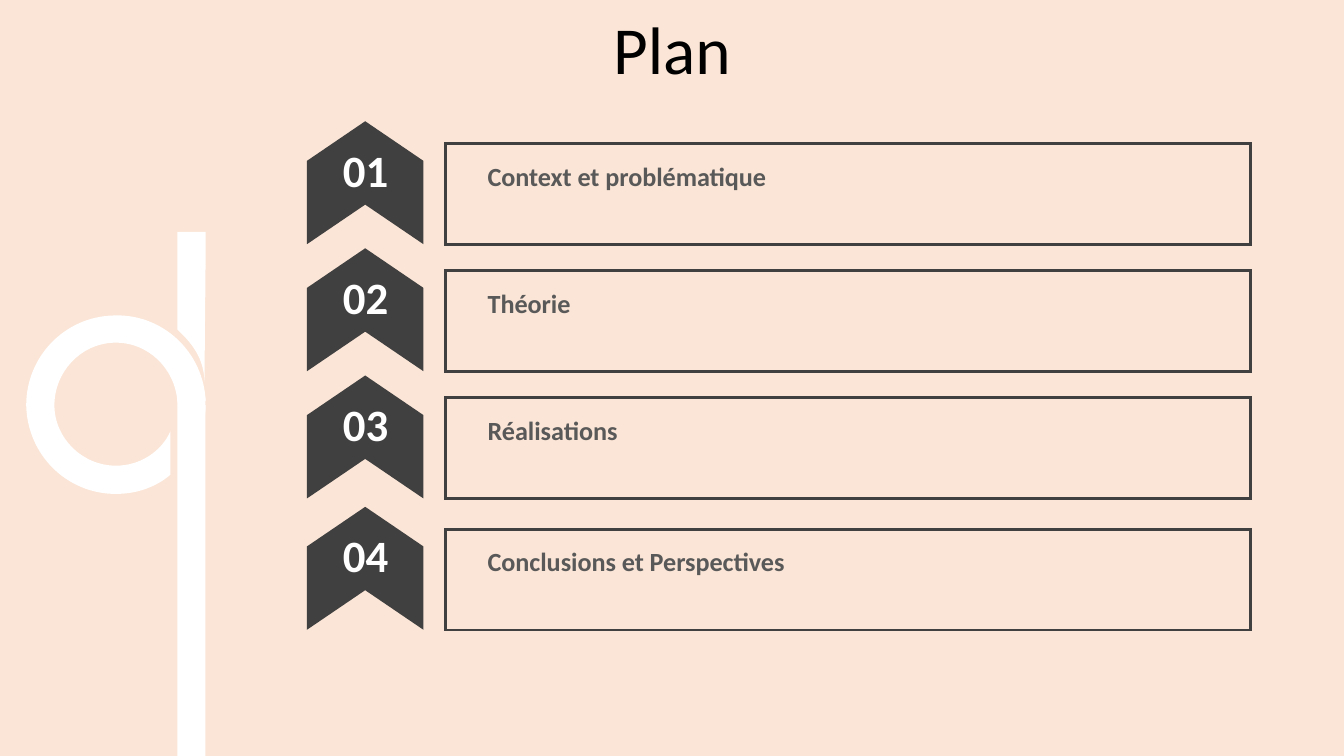
from lxml import etree
from pptx import Presentation, util as u
from pptx.dml.color import RGBColor
from pptx.enum import shapes, text
from pptx.oxml import ns

PEACH = RGBColor(0xFB, 0xE5, 0xD6)
WHITE = RGBColor(0xFF, 0xFF, 0xFF)
BLACK = RGBColor(0, 0, 0)
DARK = RGBColor(0x40, 0x40, 0x40)
GREY = RGBColor(0x59, 0x59, 0x59)

WIDE, HIGH = u.Inches(13.33), u.Inches(7.5)
UNIT = HIGH / 750
KIND = shapes.MSO_SHAPE
HEAD = {"size": u.Pt(48), "name": "Calibri", "bold": False}
MARK = {"size": u.Pt(32), "name": "Calibri", "bold": True}
ITEM = {"size": u.Pt(18.67), "name": "Calibri", "bold": True}
TOPS = (19, 35.8, 52.63, 70)
TOPICS = ("Context et problématique", "Théorie", "Réalisations",
          "Conclusions et Perspectives")
NOTCH = [[(197, 402)], [(204, 402)], [(204, 414), (201, 424), (197, 434)]]
RING = [
    [(113, 313)],
    [(161, 311), (202, 349), (204, 398)],
    [(176, 399)],
    [(174, 366), (147, 339), (113, 340)],
    [(80, 341), (54, 369), (54, 402)],
    [(54, 435), (82, 462), (115, 462)],
    [(139, 462), (160, 448), (169, 428)],
    [(169, 471)],
    [(155, 483), (136, 490), (115, 490)],
    [(66, 490), (27, 451), (26, 402)],
    [(26, 354), (64, 314), (113, 313)],
]
TIP = [
    [(176, 230)],
    [(204, 230)],
    [(204, 280), (203, 330), (203, 379)],
    [(202, 356), (192, 342), (176, 327)],
]


def area(left, top, width, height):
    """Turn percentages of the slide into lengths."""
    return [u.Emu(round(part * side / 100)) for part, side in
            zip((left, top, width, height), (WIDE, HIGH, WIDE, HIGH))]


def paint(shape, fill=None, line=None):
    """Set the fill and outline of a shape."""
    shape.shadow.inherit = False
    if fill is None:
        shape.fill.background()
    else:
        shape.fill.solid()
        shape.fill.fore_color.rgb = fill
    if line is None:
        shape.line.fill.background()
    else:
        shape.line.color.rgb = line
        shape.line.width = u.Pt(2)
        edge = shape.element.xpath(".//a:ln")[0]
        etree.SubElement(edge, ns.qn("a:miter"), lim="800000")


def block(slide, kind, place, fill=None, line=None):
    """Add a preset shape."""
    shape = slide.shapes.add_shape(kind, *area(*place))
    paint(shape, fill, line)
    return shape


def write(shape, words, look, color, align, anchor):
    """Put formatted words in a shape."""
    frame = shape.text_frame
    for key, value in {"word_wrap": True, "vertical_anchor": anchor,
                       "auto_size": text.MSO_AUTO_SIZE.NONE}.items():
        setattr(frame, key, value)
    line = frame.paragraphs[0]
    line.text = words
    line.alignment = align
    for key, value in look.items():
        setattr(line.font, key, value)
    line.font.color.rgb = color


def bend(knots):
    """Merge three line steps into one curve."""
    curve = etree.Element(ns.qn("a:cubicBezTo"))
    knots[0].addprevious(curve)
    for knot in knots:
        curve.append(knot[0])
        knot.getparent().remove(knot)


def trace(slide, *loops):
    """Add a white outline whose triple steps are curves."""
    pen = slide.shapes.build_freeform(*loops[0][0][0], scale=1 / UNIT * 1.0
                                      if UNIT < 1 else UNIT)
    for index, (start, *steps) in enumerate(loops):
        if index:
            pen.move_to(*start[0])
        pen.add_line_segments([spot for step in steps for spot in step],
                              close=False)
        pen.add_line_segments([], close=True)
    shape = pen.convert_to_shape()
    knots = iter(shape.element.xpath(".//a:lnTo"))
    for loop in loops:
        for step in loop[1:]:
            group = [next(knots) for _ in step]
            if len(group) == 3:
                bend(group)
    paint(shape, WHITE)


def letter(slide):
    """Draw the ring and stem on the left."""
    trace(slide, NOTCH, RING)
    trace(slide, TIP)
    block(slide, KIND.RECTANGLE, (13.2, 52.53, 2.08, 47.47), WHITE)


def entry(slide, number, topic, top):
    """Draw one numbered line of the plan."""
    block(slide, KIND.RECTANGLE, (33.16, top, 59.9, 13.33), line=DARK)
    label = block(slide, KIND.ROUND_2_SAME_RECTANGLE,
                  (35.39, top + 1.27, 55.14, 5.87))
    write(label, topic, ITEM, GREY, text.PP_ALIGN.LEFT, text.MSO_ANCHOR.TOP)
    arrow = block(slide, KIND.CHEVRON, (22.6, top - 2.53, 9.15, 15.4), DARK)
    arrow.rotation = 270
    arrow.adjustments[0] = 0.34
    badge = slide.shapes.add_textbox(*area(24.16, top - 0.8, 6.08, 8.53))
    write(badge, f"{number:02}", MARK, WHITE, text.PP_ALIGN.CENTER,
          text.MSO_ANCHOR.TOP)


def main():
    """Build the plan slide."""
    deck = Presentation()
    deck.slide_width, deck.slide_height = WIDE, HIGH
    slide = deck.slides.add_slide(deck.slide_layouts[5])
    slide.background.fill.solid()
    slide.background.fill.fore_color.rgb = PEACH
    letter(slide)
    title = slide.shapes.title
    title.left, title.top, title.width, title.height = area(0, 0.67, 100, 11.2)
    write(title, "Plan", HEAD, BLACK, text.PP_ALIGN.CENTER,
          text.MSO_ANCHOR.MIDDLE)
    for number, (topic, top) in enumerate(zip(TOPICS, TOPS), 1):
        entry(slide, number, topic, top)
    deck.save("out.pptx")


if __name__ == "__main__":
    main()
